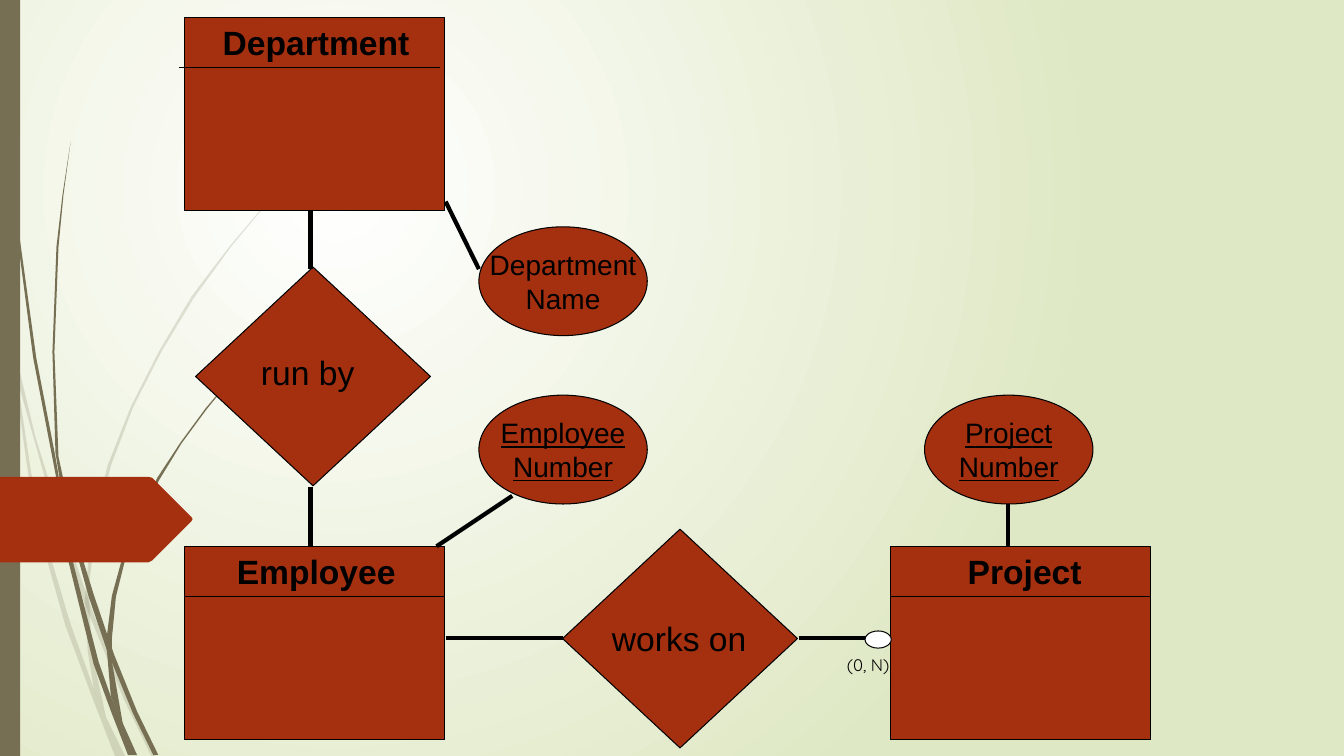
from lxml import etree
from pptx import Presentation
from pptx import util as u
from pptx.dml import color
from pptx.enum import shapes, text
from pptx.oxml import ns

RUST, OLIVE, BLACK, WHITE, PALE = "A53010", "766F54", "000000", "FFFFFF", "DFE8C4"
ENTITY_W, ENTITY_H, HEADER_H = 2.58, 1.92, 0.5
DIAMOND_W, DIAMOND_H = 2.33, 2.17
OVAL_W, OVAL_H = 1.67, 1.08

FAINT_WISPS = [
    [(0, 2.99), (0.1, 3.44), (0.17, 3.76), (0.58, 5.22), (0.84, 5.99), (1.23, 6.94),
     (1.5, 7.5), (1.55, 7.5), (1.27, 6.92), (0.92, 6.07), (0.62, 5.2), (0.35, 4.33),
     (0.14, 3.45), (0.09, 3.22), (0, 2.82)],
    [(0.11, 3.5), (0.28, 4.7), (0.44, 5.46), (0.65, 6.21), (0.92, 6.93), (1.14, 7.5),
     (1.24, 7.5), (1.05, 7.11), (0.93, 6.83), (0.7, 6.19), (0.48, 5.45), (0.31, 4.69),
     (0.17, 3.76)],
    [(3.12, 1.54), (2.68, 1.98), (2.29, 2.45), (1.92, 2.96), (1.6, 3.49), (1.32, 4.04),
     (1.1, 4.62), (0.95, 5.22), (0.88, 5.84), (0.91, 6.46), (1.05, 7.11), (0.93, 6.83),
     (0.87, 6.46), (0.84, 5.99), (0.85, 5.84), (0.91, 5.22), (1.07, 4.61), (1.3, 4.03),
     (1.58, 3.48), (1.9, 2.94), (2.28, 2.44), (2.68, 1.97), (3.12, 1.53)],
]
DARK_WISPS = [
    [(0.04, 0), (0.05, 0.48), (0.08, 1.09), (0.19, 2.32), (0.36, 3.55), (0.55, 4.53),
     (0.72, 5.56), (0.98, 6.57), (1.1, 6.91), (1.36, 7.49), (1.27, 7.49), (1.11, 7.08),
     (0.93, 6.59), (0.68, 5.57), (0.57, 4.8), (0.33, 3.55), (0.17, 2.33), (0.07, 1.1),
     (0.03, 0)],
    [(0.7, 1.41), (0.63, 1.93), (0.58, 2.45), (0.54, 3.49), (0.58, 4.53), (0.75, 5.32),
     (0.93, 5.9), (1.13, 6.49), (1.36, 7.06), (1.57, 7.49), (1.52, 7.49), (1.32, 7.08),
     (1.06, 6.45), (0.88, 5.92), (0.64, 5.05), (0.55, 4.49), (0.52, 3.49), (0.56, 2.45),
     (0.62, 1.93)],
    [(2.61, 3.44), (2.31, 3.74), (2.05, 4.06), (1.8, 4.4), (1.58, 4.76), (1.4, 5.13),
     (1.25, 5.52), (1.15, 5.92), (1.11, 6.33), (1.11, 6.56), (1.22, 7.19), (1.1, 6.91),
     (1.06, 6.45), (1.06, 6.31), (1.11, 5.91), (1.22, 5.51), (1.37, 5.12), (1.56, 4.74),
     (1.79, 4.39), (2.04, 4.05), (2.31, 3.73), (2.6, 3.44)],
]
TAB = [(0, 4.73), (1.47, 4.73), (1.51, 4.74), (1.9, 5.13), (1.91, 5.15), (1.9, 5.17),
       (1.51, 5.56), (1.47, 5.58), (0, 5.58)]


def rgb(value):
    return color.RGBColor.from_string(value)


def inches(*lengths):
    return [u.Inches(length) for length in lengths]


def paint(shape, fill, outlined):
    shape.shadow.inherit = False
    shape.fill.solid()
    shape.fill.fore_color.rgb = rgb(fill)
    if outlined:
        shape.line.color.rgb = rgb(BLACK)
        shape.line.width = u.Pt(0.75)
    else:
        shape.line.fill.background()
    return shape


def preset(slide, kind, box, fill=RUST, outlined=True):
    return paint(slide.shapes.add_shape(kind, *inches(*box)), fill, outlined)


def outline(slide, points, fill):
    start, *rest = [tuple(inches(*point)) for point in points]
    builder = slide.shapes.build_freeform(*start)
    builder.add_line_segments(rest, close=True)
    return paint(builder.convert_to_shape(), fill, False)


def wisps(slide, strands, opacity=100):
    for strand in strands:
        blade = outline(slide, strand, OLIVE)
        tint = blade._element.spPr.find(".//" + ns.qn("a:srgbClr"))
        etree.SubElement(tint, ns.qn("a:alpha"), val=str(opacity * 1000))


def backdrop(slide):
    fill = slide.background.fill
    fill.gradient()
    for stop, shade in zip(fill.gradient_stops, (WHITE, PALE)):
        stop.color.rgb = rgb(shade)
    linear = slide._element.find(".//" + ns.qn("a:lin"))
    circle = etree.Element(ns.qn("a:path"), path="circle")
    etree.SubElement(circle, ns.qn("a:fillToRect"), l="50000", t="50000", r="100000", b="100000")
    linear.getparent().replace(linear, circle)
    wisps(slide, FAINT_WISPS, 20)
    wisps(slide, DARK_WISPS)
    preset(slide, shapes.MSO_SHAPE.RECTANGLE, (0, 0, 0.2, 7.5), OLIVE, False)
    outline(slide, TAB, RUST)


def style(paragraph, size, name="Arial", bold=False, underline=False):
    font = paragraph.font
    font.name, font.size, font.bold, font.underline = name, u.Pt(size), bold, underline
    font.color.rgb = rgb(BLACK)


def label(slide, box, words, size=24, name="Arial", bold=False, wrap=False):
    frame = slide.shapes.add_textbox(*inches(*box)).text_frame
    frame.word_wrap = wrap
    frame.auto_size = text.MSO_AUTO_SIZE.SHAPE_TO_FIT_TEXT
    frame.text = words
    style(frame.paragraphs[0], size, name, bold)


def link(slide, x1, y1, x2, y2, width=3):
    line = slide.shapes.add_connector(shapes.MSO_CONNECTOR.STRAIGHT, *inches(x1, y1, x2, y2))
    line.line.color.rgb = rgb(BLACK)
    line.line.width = u.Pt(width)
    etree.SubElement(line._element.spPr, ns.qn("a:effectLst"))


def entity(slide, left, top, name, indent, name_w, rule_shift=0):
    preset(slide, shapes.MSO_SHAPE.RECTANGLE, (left, top, ENTITY_W, ENTITY_H))
    rule_x, rule_y = left + rule_shift, top + HEADER_H
    link(slide, rule_x, rule_y, rule_x + ENTITY_W, rule_y, 0.75)
    label(slide, (left + indent, top, name_w, HEADER_H), name, bold=True)


def relationship(slide, left, top, name, dx, dy, name_w):
    preset(slide, shapes.MSO_SHAPE.DIAMOND, (left, top, DIAMOND_W, DIAMOND_H))
    label(slide, (left + dx, top + dy, name_w, 0.5), name)


def attribute(slide, left, top, name, key=False):
    frame = preset(slide, shapes.MSO_SHAPE.OVAL, (left, top, OVAL_W, OVAL_H)).text_frame
    frame.word_wrap = False
    frame.vertical_anchor = text.MSO_ANCHOR.MIDDLE
    frame.text = name
    frame.paragraphs[0].alignment = text.PP_ALIGN.CENTER
    style(frame.paragraphs[0], 20, underline=key)


def diagram(slide):
    entity(slide, 1.83, 0.17, "Department", 0.28, 2.07, -0.05)
    entity(slide, 8.83, 5.42, "Project", 0.67, 1.33)
    entity(slide, 1.83, 5.42, "Employee", 0.42, 1.78)
    relationship(slide, 5.58, 5.25, "works on", 0.39, 0.83, 1.55)
    link(slide, 4.42, 6.33, 5.58, 6.33)
    link(slide, 7.92, 6.33, 8.83, 6.33)
    relationship(slide, 1.94, 2.65, "run by", 0.55, 0.79, 1.14)
    link(slide, 3.08, 2.08, 3.08, 2.67)
    link(slide, 3.08, 4.83, 3.08, 5.42)
    attribute(slide, 9.17, 3.92, "Project\vNumber", key=True)
    link(slide, 10, 5, 10, 5.42)
    attribute(slide, 4.75, 3.92, "Employee\vNumber", key=True)
    link(slide, 5.08, 4.92, 4.33, 5.42)
    attribute(slide, 4.75, 2.25, "Department\vName")
    link(slide, 4.75, 2.67, 4.42, 2)
    preset(slide, shapes.MSO_SHAPE.OVAL, (8.58, 6.26, 0.26, 0.17), WHITE)
    label(slide, (8.3, 6.45, 0.72, 0.3), "(0, N)", 12, "Quicksand", wrap=True)


def main():
    deck = Presentation()
    deck.slide_width, deck.slide_height = inches(13.33, 7.5)
    slide = deck.slides.add_slide(deck.slide_layouts[6])
    backdrop(slide)
    diagram(slide)
    deck.save("out.pptx")


if __name__ == "__main__":
    main()
